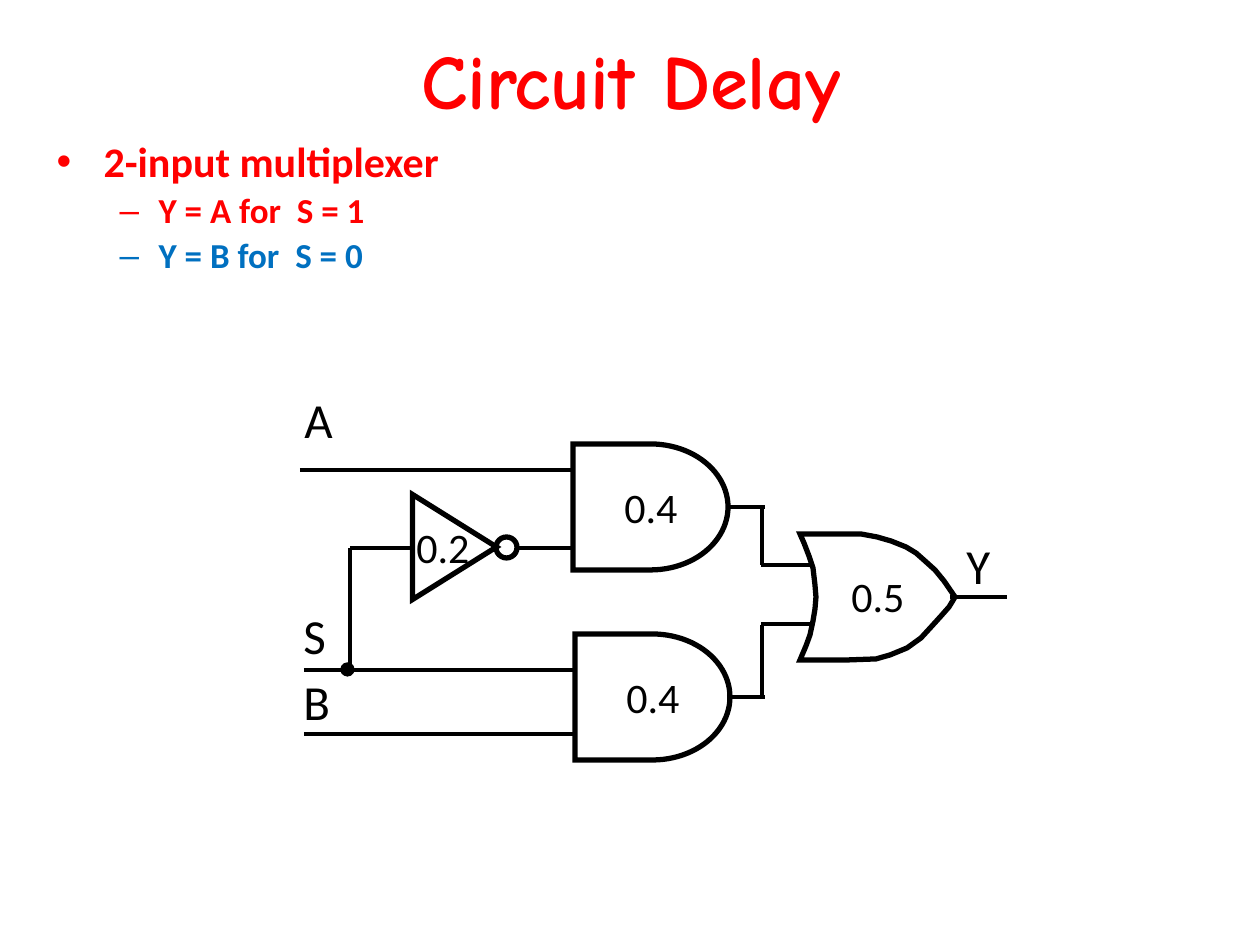
from dataclasses import dataclass
from typing import Any

import pptx
import pptx.dml.color
import pptx.enum.shapes
import pptx.enum.text
import pptx.oxml
import pptx.oxml.ns
import pptx.util

EMU_PER_PIXEL = 914400 / 126
BLACK, RED, BLUE = "000000", "FF0000", "0070C0"
SHAPES = pptx.enum.shapes.MSO_SHAPE


@dataclass
class Gate:
    """A preset shape of the circuit, placed in pixels."""
    kind: Any
    box: tuple[int, int, int, int]
    fill: str | None = None
    line_width: float = 3
    rotation: int = 0


@dataclass
class Label:
    """A short text whose box is placed in pixels."""
    text: str
    left: int
    top: int
    width: int = 53
    height: int = 72
    size: int = 28


@dataclass
class Bullet:
    """One line of the list; indents are in pixels."""
    text: str
    level: int
    size: int
    color: str
    margin: int
    hanging: int


GATES = [
    Gate(SHAPES.FLOWCHART_DELAY, (573, 444, 155, 126)),
    Gate(SHAPES.FLOWCHART_DELAY, (575, 634, 155, 126)),
    Gate(SHAPES.ISOSCELES_TRIANGLE, (402, 505, 105, 84), rotation=90),
    Gate(SHAPES.OVAL, (496, 537, 21, 21)),
    Gate(SHAPES.OVAL, (341, 663, 13, 13), fill=BLACK, line_width=0.75),
]
OR_GATE = [
    (800, 534), (804, 543), (809, 556), (813, 568), (815, 585), (816, 597),
    (815, 609), (813, 621), (810, 635), (806, 646), (800, 660), (847, 660),
    (876, 659), (890, 655), (907, 648), (921, 638), (932, 626), (942, 615),
    (949, 607), (955, 597), (944, 581), (935, 570), (925, 561), (916, 553),
    (906, 547), (891, 541), (877, 537), (861, 534),
]
WIRES = [
    (378, 470, 572, 470),  # A
    (304, 670, 575, 670),  # S
    (304, 734, 576, 734),  # B
    (350, 548, 350, 671), (350, 548, 414, 548), (518, 548, 575, 548),
    (727, 507, 765, 507), (762, 507, 762, 565), (761, 565, 813, 565),
    (727, 697, 765, 697), (762, 625, 762, 697), (761, 624, 811, 624),
    (950, 597, 1007, 597),  # Y
]
WIRES[0] = (300, 470, 572, 470)
DELAY_BOX = {"width": 111, "height": 63, "size": 24}
LABELS = [
    Label("A", 292, 383), Label("S", 291, 599),
    Label("B", 291, 665), Label("Y", 954, 529),
    Label("0.4", 612, 475, **DELAY_BOX), Label("0.4", 614, 665, **DELAY_BOX),
    Label("0.5", 839, 564, **DELAY_BOX), Label("0.2", 404, 515, **DELAY_BOX),
]
BULLETS = [
    Bullet("2-input multiplexer", 0, 24, RED, 47, 47),
    Bullet("Y = A for  S = 1", 1, 20, RED, 102, 39),
    Bullet("Y = B for  S = 0", 1, 20, BLUE, 102, 39),
]


def px(pixels: float) -> int:
    """Turn pixels into EMU."""
    return round(pixels * EMU_PER_PIXEL)


def rgb(color: str) -> pptx.dml.color.RGBColor:
    """Turn a hex string into a colour."""
    return pptx.dml.color.RGBColor.from_string(color)


def apply(target: Any, values: dict[str, Any]) -> None:
    """Set each named attribute on the target."""
    for name, value in values.items():
        setattr(target, name, value)


def place(shape: Any, left: int, top: int, width: int, height: int) -> None:
    """Move and size a shape in pixels."""
    apply(shape, {"left": px(left), "top": px(top),
                  "width": px(width), "height": px(height)})


def write(paragraph: Any, text: str, size: int, color: str,
          name: str = "Calibri", bold: bool = False) -> None:
    """Add one formatted run to a paragraph."""
    run = paragraph.add_run()
    run.text = text
    apply(run.font, {"size": pptx.util.Pt(size), "name": name, "bold": bold})
    run.font.color.rgb = rgb(color)


def style_outline(shape: Any, width: float, fill: str | None = None) -> None:
    """Give a shape a black sharp-cornered line and an optional fill."""
    shape.shadow.inherit = False
    if fill:
        shape.fill.solid()
        shape.fill.fore_color.rgb = rgb(fill)
    else:
        shape.fill.background()
    shape.line.color.rgb = rgb(BLACK)
    shape.line.width = pptx.util.Pt(width)
    line = shape.line._get_or_add_ln()
    miter = pptx.oxml.parse_xml(
        f'<a:miter {pptx.oxml.ns.nsdecls("a")} lim="800000"/>')
    line.append(miter)


def draw_gate(slide: Any, gate: Gate) -> None:
    """Draw one preset shape of the circuit."""
    shape = slide.shapes.add_shape(gate.kind, *map(px, gate.box))
    shape.rotation = gate.rotation
    style_outline(shape, gate.line_width, gate.fill)


def draw_or_gate(slide: Any) -> None:
    """Draw the OR gate as a closed outline."""
    builder = slide.shapes.build_freeform(*OR_GATE[0], scale=EMU_PER_PIXEL)
    builder.add_line_segments(OR_GATE[1:], close=True)
    style_outline(builder.convert_to_shape(), 3)


def draw_wire(slide: Any, ends: tuple[int, int, int, int]) -> None:
    """Draw one straight wire."""
    wire = slide.shapes.add_connector(
        pptx.enum.shapes.MSO_CONNECTOR.STRAIGHT, *map(px, ends))
    wire.line.color.rgb = rgb(BLACK)
    wire.line.width = pptx.util.Pt(2.25)
    wire._element.spPr.append(pptx.oxml.parse_xml(
        f'<a:effectLst {pptx.oxml.ns.nsdecls("a")}/>'))


def draw_label(slide: Any, label: Label) -> None:
    """Draw a signal name or a gate delay."""
    box = slide.shapes.add_textbox(
        *map(px, (label.left, label.top, label.width, label.height)))
    box.text_frame.word_wrap = True
    write(box.text_frame.paragraphs[0], label.text, label.size, BLACK)


def fill_title(slide: Any) -> None:
    """Place and write the title."""
    title = slide.shapes.title
    place(title, 64, 0, 1134, 158)
    title.text_frame.vertical_anchor = pptx.enum.text.MSO_ANCHOR.MIDDLE
    paragraph = title.text_frame.paragraphs[0]
    paragraph.alignment = pptx.enum.text.PP_ALIGN.CENTER
    write(paragraph, "Circuit Delay", 44, RED, "Comic Neue", True)


def fill_list(slide: Any) -> None:
    """Place and write the bullet list."""
    body = slide.placeholders[1]
    place(body, 44, 135, 1124, 378)
    frame = body.text_frame
    for index, bullet in enumerate(BULLETS):
        paragraph = frame.add_paragraph() if index else frame.paragraphs[0]
        apply(paragraph, {"level": bullet.level, "line_spacing": 0.9})
        properties = paragraph._p.get_or_add_pPr()
        properties.set("marL", str(px(bullet.margin)))
        properties.set("indent", str(-px(bullet.hanging)))
        write(paragraph, bullet.text, bullet.size, bullet.color, bold=True)


def main() -> None:
    """Build the slide and save it."""
    presentation = pptx.Presentation()
    apply(presentation, {"slide_width": px(1260), "slide_height": px(945)})
    slide = presentation.slides.add_slide(presentation.slide_layouts[1])
    fill_title(slide)
    fill_list(slide)
    for wire in WIRES:
        draw_wire(slide, wire)
    for gate in GATES:
        draw_gate(slide, gate)
    draw_or_gate(slide)
    for label in LABELS:
        draw_label(slide, label)
    presentation.save("out.pptx")


main()
